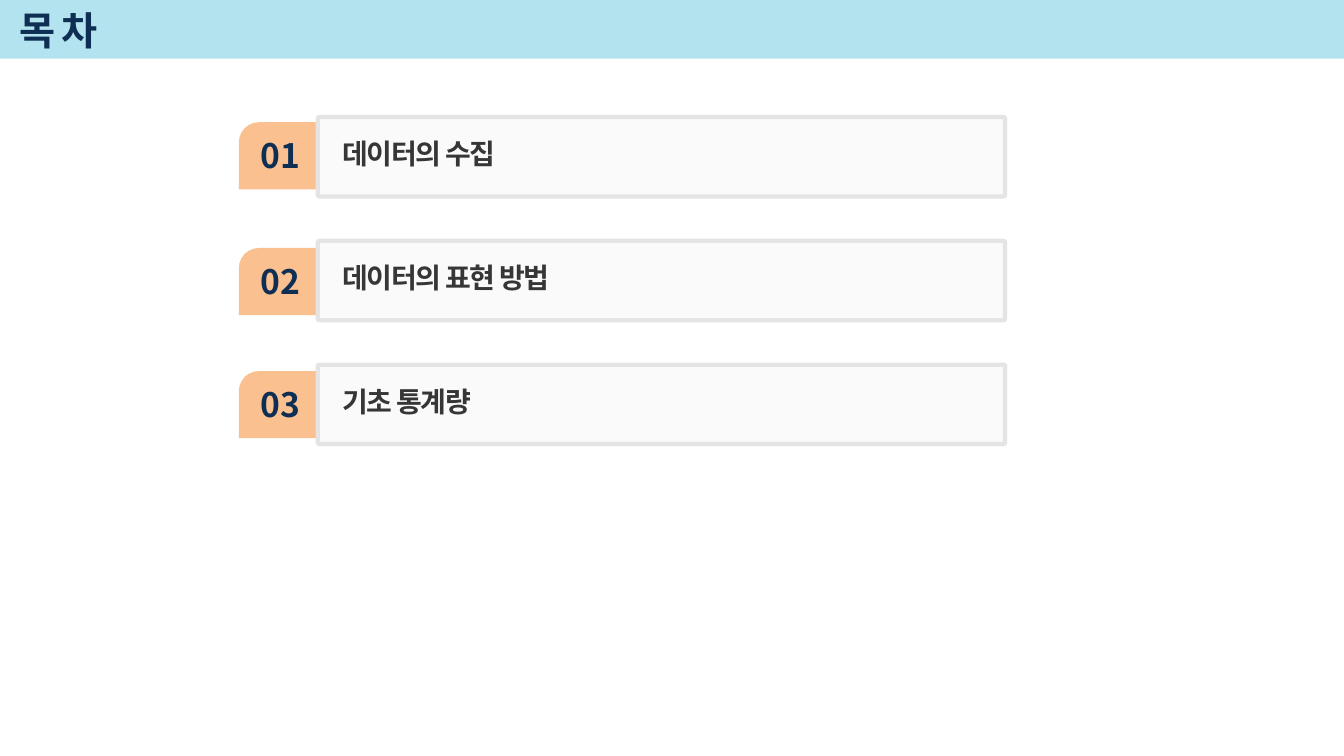
from dataclasses import dataclass

import pptx
import pptx.dml.color
import pptx.enum.shapes
import pptx.enum.text
import pptx.oxml.ns
import pptx.shapes.autoshape
import pptx.text.text
import pptx.util
from lxml import etree
from pptx.util import Cm

FONT = "Noto Sans CJK KR"
NAVY = "0F2E53"
CHARCOAL = "363636"
SKY = "B3E3EE"
PEACH = "FAC090"
PALE_GRAY = "F2F2F2"
BORDER_GRAY = "E4E4E4"

FIRST_PANEL_TOP = 2.95
PANEL_PITCH = 3.12

MSO_SHAPE = pptx.enum.shapes.MSO_SHAPE
PP_ALIGN = pptx.enum.text.PP_ALIGN
MSO_ANCHOR = pptx.enum.text.MSO_ANCHOR


@dataclass
class Chapter:
    number: str
    name: str
    tab_top: float


CHAPTERS = [
    Chapter("01", "데이터의 수집", 3.08),
    Chapter("02", "데이터의 표현 방법", 6.25),
    Chapter("03", "기초 통계량", 9.35),
]


def color(hex_value: str) -> pptx.dml.color.RGBColor:
    return pptx.dml.color.RGBColor.from_string(hex_value)


def add_block(shapes, kind, left: float, top: float, width: float, height: float,
              fill: str) -> pptx.shapes.autoshape.Shape:
    """Add a filled preset shape without outline or shadow."""
    block = shapes.add_shape(kind, Cm(left), Cm(top), Cm(width), Cm(height))
    block.shadow.inherit = False
    block.fill.solid()
    block.fill.fore_color.rgb = color(fill)
    block.line.fill.background()
    return block


def format_paragraph(paragraph: pptx.text.text._Paragraph, size: float,
                     text_color: str, spacing: int = 0) -> None:
    """Format the runs; spacing is in hundredths of a point."""
    for run in paragraph.runs:
        run.font.size = pptx.util.Pt(size)
        run.font.bold = True
        run.font.name = FONT
        run.font.color.rgb = color(text_color)
        properties = run._r.get_or_add_rPr()
        properties.set("spc", str(spacing))
        east_asian = etree.SubElement(properties, pptx.oxml.ns.qn("a:ea"))
        east_asian.set("typeface", FONT)


def add_label(shapes, text: str, left: float, top: float, width: float,
              height: float) -> pptx.text.text.TextFrame:
    text_box = shapes.add_textbox(Cm(left), Cm(top), Cm(width), Cm(height))
    text_frame = text_box.text_frame
    text_frame.margin_top = text_frame.margin_bottom = 0
    text_frame.text = text
    return text_frame


def add_chapter(slide, chapter: Chapter, panel_top: float) -> None:
    shapes = slide.shapes.add_group_shape().shapes

    # Number tab
    tab = add_block(shapes, MSO_SHAPE.SNIP_ROUND_RECTANGLE,
                    6.02, chapter.tab_top, 2.03, 1.69, PEACH)
    tab.adjustments[0] = 0.3
    tab.adjustments[1] = 0

    # Translucent panel
    panel = add_block(shapes, MSO_SHAPE.ROUNDED_RECTANGLE,
                      8.01, panel_top, 17.32, 2, PALE_GRAY)
    panel.adjustments[0] = 0.02
    panel.line.color.rgb = color(BORDER_GRAY)
    panel.line.width = pptx.util.Pt(3)
    fill_color = panel._element.spPr.find(".//" + pptx.oxml.ns.qn("a:srgbClr"))
    etree.SubElement(fill_color, pptx.oxml.ns.qn("a:alpha")).set("val", "33000")

    # Number and chapter name
    number = add_label(shapes, chapter.number, 6.32, chapter.tab_top + 0.2, 1.5, 1.28)
    number.word_wrap = False
    number.vertical_anchor = MSO_ANCHOR.MIDDLE
    number.paragraphs[0].alignment = PP_ALIGN.CENTER
    format_paragraph(number.paragraphs[0], 24, NAVY)

    name = add_label(shapes, chapter.name, 8.38, panel_top + 0.41, 13.41, 1.12)
    name.word_wrap = True
    name.paragraphs[0].line_spacing = 1.1
    name.paragraphs[0].space_after = pptx.util.Pt(3)
    format_paragraph(name.paragraphs[0], 20, CHARCOAL, -100)


def main() -> None:
    presentation = pptx.Presentation()
    presentation.slide_width = Cm(33.87)
    presentation.slide_height = Cm(19.05)
    slide = presentation.slides.add_slide(presentation.slide_layouts[5])

    # Header band, placed behind the title
    band = add_block(slide.shapes, MSO_SHAPE.RECTANGLE, 0, -0.05, 33.87, 1.53, SKY)
    slide.shapes._spTree.insert(2, band._element)

    # Title
    title = slide.shapes.title
    title.left, title.top, title.width, title.height = Cm(0.23), Cm(0.1), Cm(28.83), Cm(1.32)
    title.text_frame.text = "목 차"
    title.text_frame.vertical_anchor = MSO_ANCHOR.MIDDLE
    title.text_frame.auto_size = pptx.enum.text.MSO_AUTO_SIZE.NONE
    title.text_frame.paragraphs[0].alignment = PP_ALIGN.LEFT
    format_paragraph(title.text_frame.paragraphs[0], 28, NAVY, -100)

    # Chapters
    for index, chapter in enumerate(CHAPTERS):
        add_chapter(slide, chapter, FIRST_PANEL_TOP + index * PANEL_PITCH)

    presentation.save("out.pptx")


if __name__ == "__main__":
    main()
